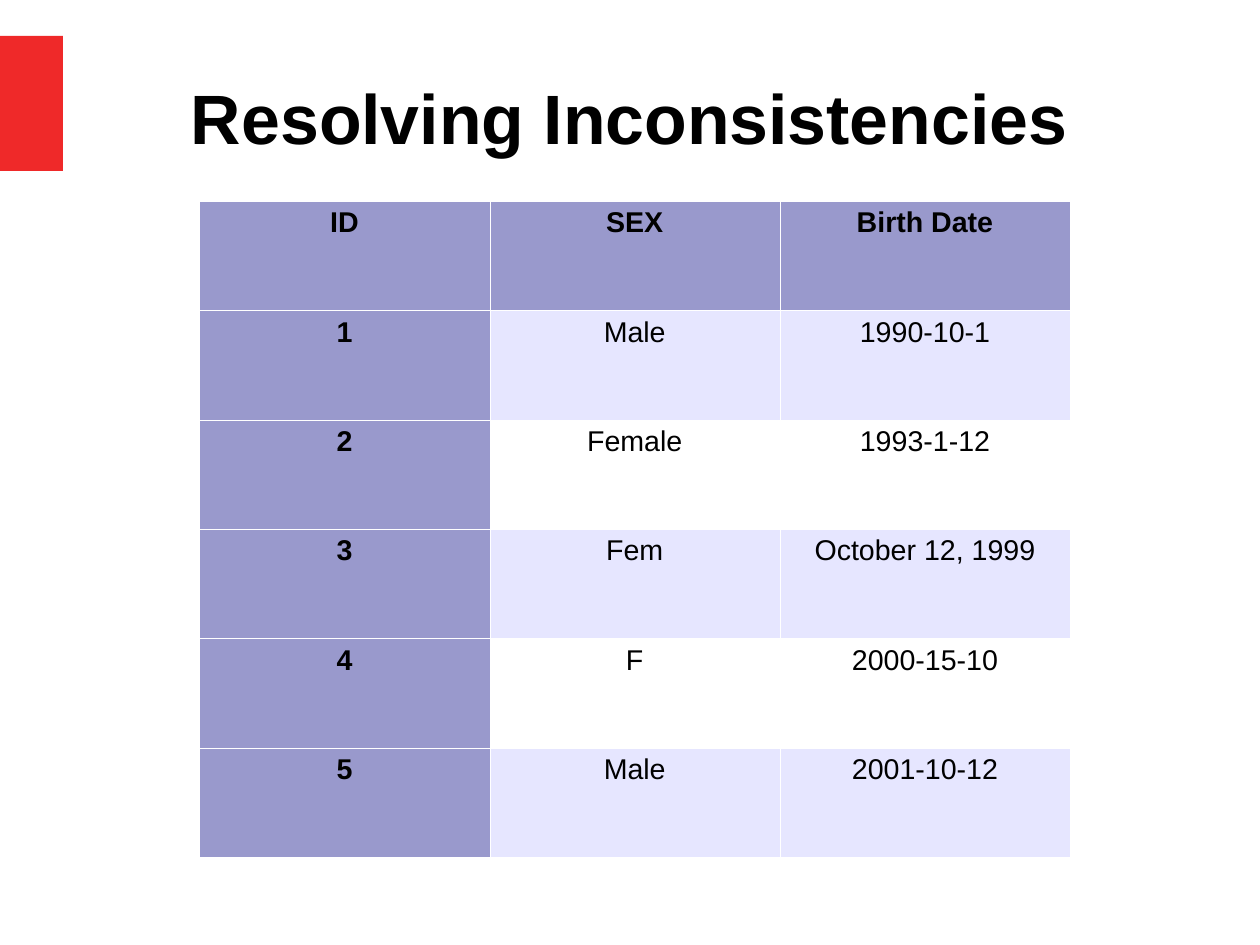
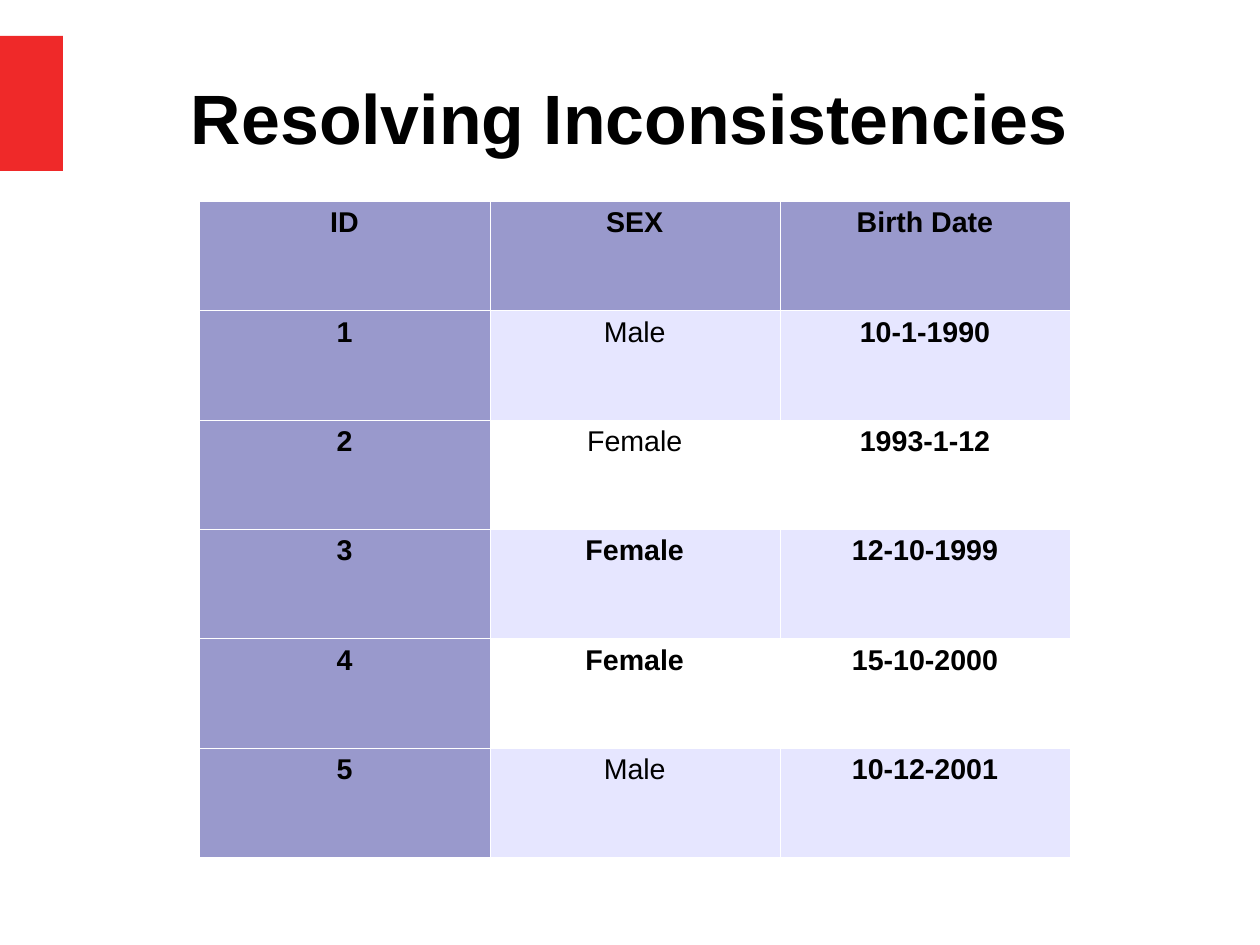
from lxml import etree
from pptx import Presentation, util as u
from pptx.dml.color import RGBColor
from pptx.enum import shapes, text
from pptx.oxml.ns import qn

COLORS = {
    "band": "EF2929",
    "header": "9999CC",
    "stripe": "E6E6FF",
    "plain": "FFFFFF",
    "text": "000000",
}
TITLE_FRAME = {
    "margin_left": 0,
    "margin_right": 0,
    "margin_top": 0,
    "margin_bottom": 0,
    "word_wrap": True,
    "auto_size": text.MSO_AUTO_SIZE.NONE,
    "vertical_anchor": text.MSO_ANCHOR.MIDDLE,
}
TITLE = "Resolving Inconsistencies"
HEADINGS = ("ID", "SEX", "Birth Date")
COLUMN_WIDTH = u.Cm(6.45)
ROW_HEIGHT = u.Cm(2.43)
BORDER_WIDTH = u.Pt(0.06)

raw_records = [
    ("1", "Male", "1990-10-1"),
    ("2", "Female", "1993-1-12"),
    ("3", "Fem", "October 12, 1999"),
    ("4", "F", "2000-15-10"),
    ("5", "Male", "2001-10-12"),
]
resolved_records = [
    ("1", "Male", "10-1-1990"),
    ("2", "Female", "1993-1-12"),
    ("3", "Female", "12-10-1999"),
    ("4", "Female", "15-10-2000"),
    ("5", "Male", "10-12-2001"),
]
resolved_cells = {(3, 1), (4, 1)} | {(row, 2) for row in range(1, 6)}


def write(frame, content, size, bold):
    para = frame.paragraphs[0]
    para.alignment = text.PP_ALIGN.CENTER
    span = para.add_run()
    span.text = content
    font_values = {"name": "Arial", "size": u.Pt(size), "bold": bold}
    for name, value in font_values.items():
        setattr(span.font, name, value)
    span.font.color.rgb = RGBColor.from_string(COLORS["text"])


def add_borders(cell):
    properties = cell._tc.get_or_add_tcPr()
    for side in ("a:lnL", "a:lnR", "a:lnT", "a:lnB"):
        line = etree.SubElement(properties, qn(side), w=str(int(BORDER_WIDTH)))
        fill = etree.SubElement(line, qn("a:solidFill"))
        etree.SubElement(fill, qn("a:srgbClr"), val=COLORS["plain"])


deck = Presentation()
deck.slide_width = u.Cm(28)
deck.slide_height = u.Cm(21)
title_only = deck.slide_layouts[5]

for records, bold_cells in ((raw_records, set()), (resolved_records, resolved_cells)):
    page = deck.slides.add_slide(title_only)

    band = page.shapes.add_shape(
        shapes.MSO_SHAPE.RECTANGLE, 0, u.Cm(0.8), u.Cm(1.4), u.Cm(3)
    )
    band.shadow.inherit = False
    band.fill.solid()
    band.fill.fore_color.rgb = RGBColor.from_string(COLORS["band"])
    band.line.fill.background()

    title = page.shapes.title
    title.left, title.top = u.Cm(1.4), u.Cm(0.84)
    title.width, title.height = u.Cm(25.2), u.Cm(3.5)
    for name, value in TITLE_FRAME.items():
        setattr(title.text_frame, name, value)
    write(title.text_frame, TITLE, 44, True)

    rows = [HEADINGS, *records]
    table = page.shapes.add_table(
        len(rows), len(HEADINGS), u.Cm(4.43), u.Cm(4.47),
        COLUMN_WIDTH * len(HEADINGS), ROW_HEIGHT * len(rows),
    ).table
    table.first_row = table.horz_banding = False

    for row, values in enumerate(rows):
        for column, value in enumerate(values):
            cell = table.cell(row, column)
            is_heading = row == 0 or column == 0
            shade = "header" if is_heading else "stripe" if row % 2 else "plain"
            add_borders(cell)
            cell.fill.solid()
            cell.fill.fore_color.rgb = RGBColor.from_string(COLORS[shade])
            write(cell.text_frame, value, 18, is_heading or (row, column) in bold_cells)

deck.save("out.pptx")
